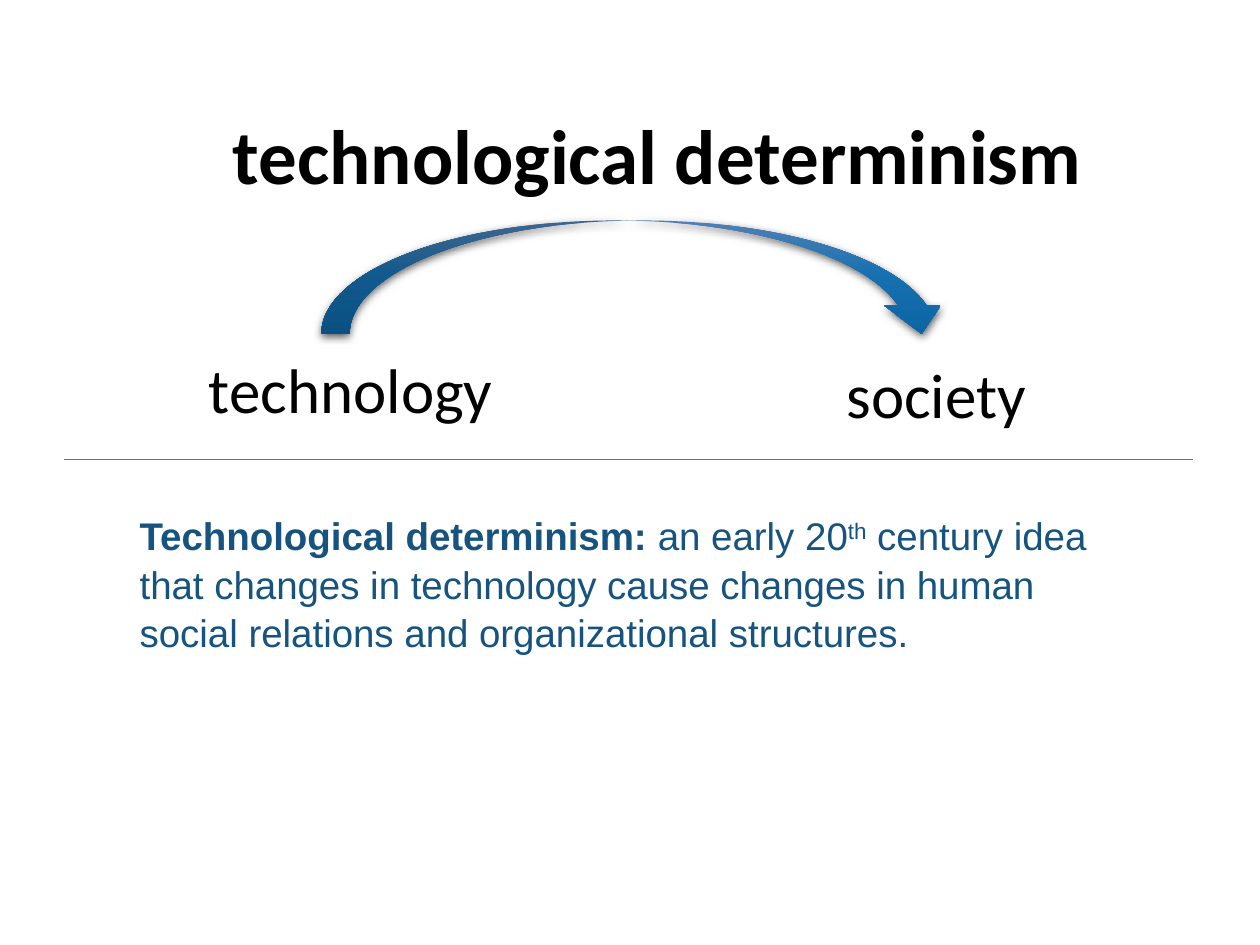
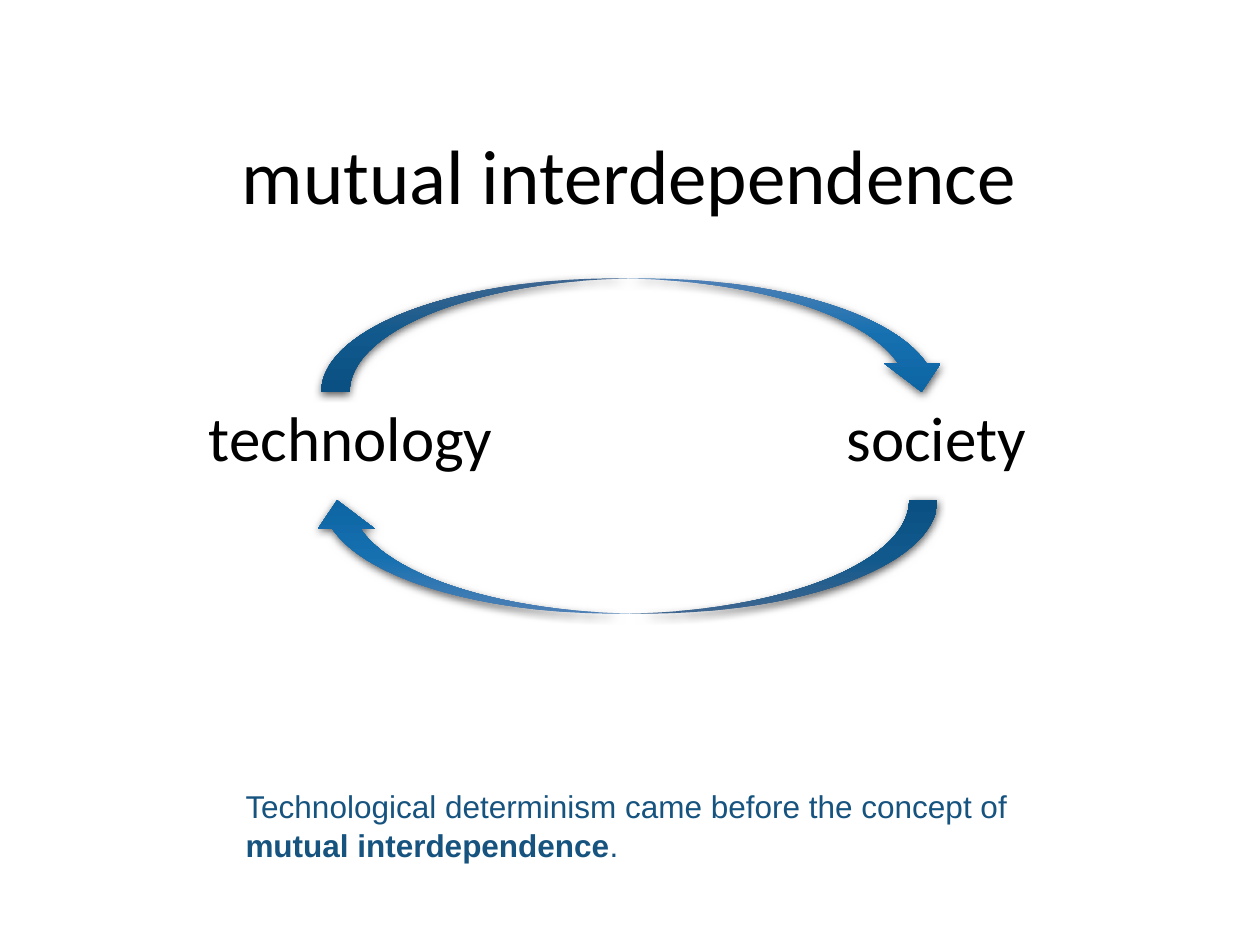
import pptx
import pptx.util
import pptx.oxml
import pptx.dml.color
import pptx.enum.shapes
import pptx.enum.text
from pptx.util import Inches

COLOURS = {
    "background": "FFFFFF",
    "heading": "000000",
    "body": "16537F",
    "rule": "1D9A78",
    "shadow": "000000",
    "arrow_top": "4E80B5",
    "arrow_middle": "1670B0",
    "arrow_bottom": "0D65A3",
}
HEADING_FONT = "Calibri"
BODY_FONT = "Arial"
NAMESPACE = 'xmlns:a="http://schemas.openxmlformats.org/drawingml/2006/main"'
ARROW_STOPS = [(0, "arrow_top"), (50, "arrow_middle"), (100, "arrow_bottom")]


def colour(name):
    return pptx.dml.color.RGBColor.from_string(COLOURS[name])


class Deck:
    def __init__(self):
        self.presentation = pptx.Presentation()
        self.presentation.slide_width = Inches(10)
        self.presentation.slide_height = Inches(7.5)
        self.slide = None

    def new_slide(self):
        self.slide = self.presentation.slides.add_slide(self.presentation.slide_layouts[6])
        fill = self.slide.background.fill
        fill.solid()
        fill.fore_color.rgb = colour("background")

    def text(self, left, top, width, height, runs, size, font, colour_name, wrap=True):
        shape = self.slide.shapes.add_textbox(
            Inches(left), Inches(top), Inches(width), Inches(height))
        shape.text_frame.word_wrap = wrap
        paragraph = shape.text_frame.paragraphs[0]
        for content, style in runs:
            run = paragraph.add_run()
            run.text = content
            run.font.name = font
            run.font.size = pptx.util.Pt(size)
            run.font.color.rgb = colour(colour_name)
            run.font.bold = style == "bold"
            if style == "superscript":
                run.font._element.set("baseline", "30000")
        return shape

    def title(self, left, top, width, content, style=None):
        shape = self.text(left, top, width, 1.25, [(content, style)], 44, HEADING_FONT, "heading")
        shape.text_frame.vertical_anchor = pptx.enum.text.MSO_ANCHOR.MIDDLE
        shape.text_frame.paragraphs[0].line_spacing = 0.9

    def label(self, left, top, width, content):
        self.text(left, top, width, 0.71, [(content, None)], 36, HEADING_FONT, "heading", wrap=False)

    def body(self, left, top, width, height, runs, size):
        shape = self.text(left, top, width, height, runs, size, BODY_FONT, "body")
        shape.text_frame.paragraphs[0].line_spacing = 1.05

    def curved_arrow(self, left, top, rotation=0):
        shape = self.slide.shapes.add_shape(
            pptx.enum.shapes.MSO_SHAPE.CURVED_DOWN_ARROW,
            Inches(left), Inches(top), Inches(4.99), Inches(0.9))
        shape.rotation = rotation
        shape.line.fill.background()
        stops = "".join(
            f'<a:gs pos="{position * 1000}"><a:srgbClr val="{COLOURS[name]}"/></a:gs>'
            for position, name in ARROW_STOPS)
        gradient = pptx.oxml.parse_xml(
            f'<a:gradFill {NAMESPACE} rotWithShape="1"><a:gsLst>{stops}</a:gsLst>'
            '<a:lin ang="5400000" scaled="0"/></a:gradFill>')
        shadow = pptx.oxml.parse_xml(
            f'<a:effectLst {NAMESPACE}><a:outerShdw blurRad="{pptx.util.Pt(4.5)}" '
            f'dist="{pptx.util.Pt(1.5)}" dir="5400000" algn="ctr" rotWithShape="0">'
            f'<a:srgbClr val="{COLOURS["shadow"]}"><a:alpha val="63000"/></a:srgbClr>'
            '</a:outerShdw></a:effectLst>')
        properties = shape._element.spPr
        properties.find(pptx.oxml.ns.qn("a:prstGeom")).addnext(gradient)
        properties.append(shadow)

    def rule(self, left, right, top):
        connector = self.slide.shapes.add_connector(
            pptx.enum.shapes.MSO_CONNECTOR.STRAIGHT,
            Inches(left), Inches(top), Inches(right), Inches(top))
        connector.line.color.rgb = colour("rule")
        connector.line.width = pptx.util.Pt(0.5)
        connector._element.spPr.append(pptx.oxml.parse_xml(f"<a:effectLst {NAMESPACE}/>"))


def determinism_slide(deck):
    deck.new_slide()
    deck.title(1.75, 0.64, 7.45, "technological determinism", "bold")
    deck.label(1.56, 2.73, 2.48, "technology")
    deck.label(6.62, 2.77, 1.64, "society")
    deck.curved_arrow(2.55, 1.75)
    deck.body(1.01, 4, 7.99, 1.58, [
        ("Technological determinism: ", "bold"),
        ("an early 20", None),
        ("th", "superscript"),
        (" century idea that changes in technology cause changes in human "
         "social relations and organizational structures.", None),
    ], 22)
    deck.rule(0.51, 9.47, 3.65)


def interdependence_slide(deck):
    deck.new_slide()
    deck.title(1.82, 0.8, 6.37, "mutual interdependence")
    deck.label(1.56, 3.11, 2.48, "technology")
    deck.label(6.62, 3.11, 1.64, "society")
    deck.curved_arrow(2.55, 2.21)
    deck.curved_arrow(2.45, 3.97, rotation=180)
    deck.body(1.85, 6.18, 6.29, 0.71, [
        ("Technological determinism came before the concept of ", None),
        ("mutual interdependence", "bold"),
        (".", None),
    ], 18)


def main():
    deck = Deck()
    determinism_slide(deck)
    interdependence_slide(deck)
    deck.presentation.save("out.pptx")


if __name__ == "__main__":
    main()
